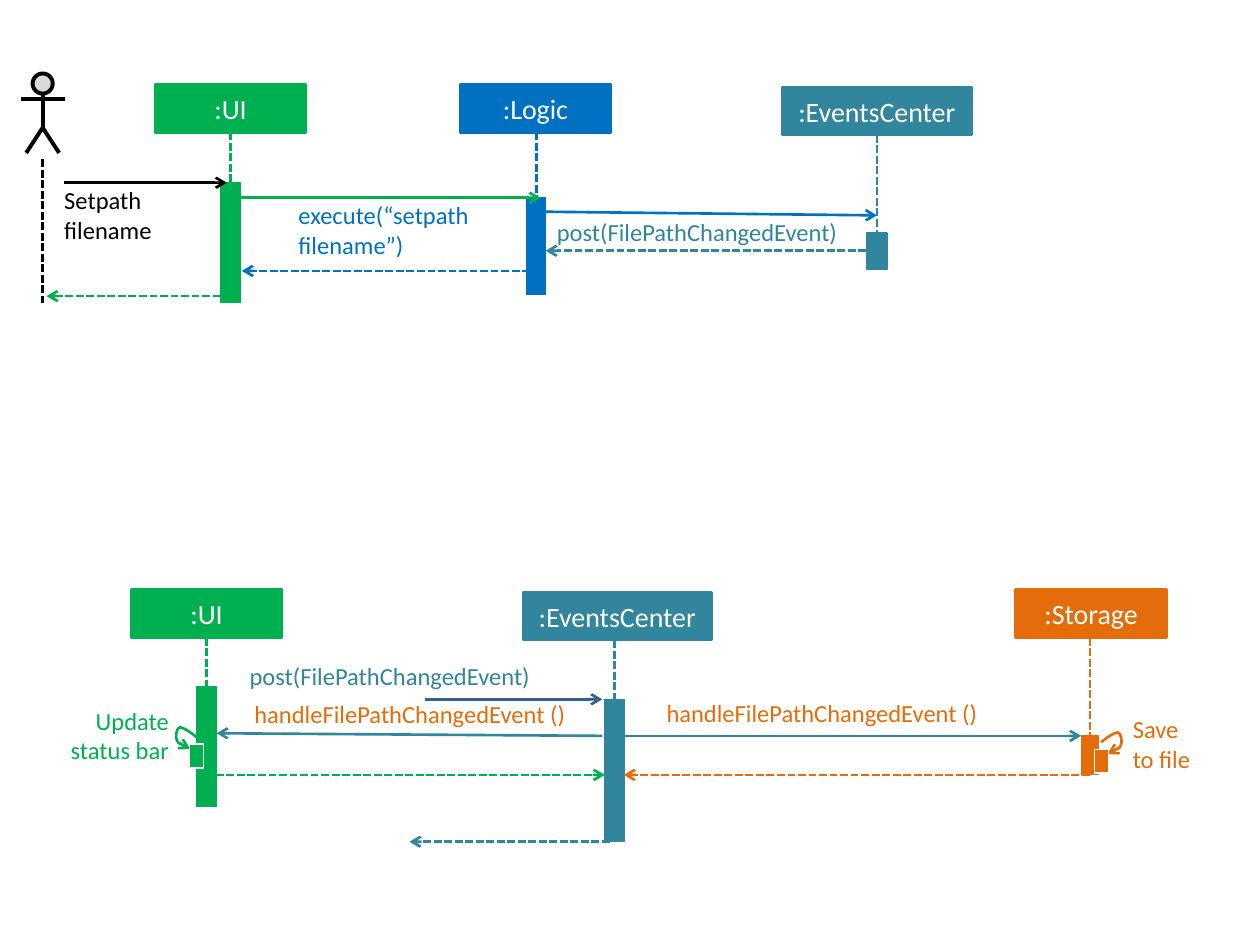
from dataclasses import dataclass

from lxml.etree import SubElement
from pptx import Presentation
from pptx.dml.color import RGBColor
from pptx.enum.dml import MSO_LINE
from pptx.enum.shapes import MSO_CONNECTOR, MSO_SHAPE as Preset
from pptx.enum.text import MSO_ANCHOR, PP_ALIGN as Align
from pptx.oxml.ns import qn
from pptx.util import Pt


@dataclass(frozen=True)
class Theme:
    font: str = "Calibri"
    head_size: float = 16
    label_size: float = 14
    thin: float = 0.75
    line: float = 1.5
    thick: float = 2.25
    black: str = "000000"
    white: str = "FFFFFF"
    grey: str = "D9D9D9"
    green: str = "00B050"
    blue: str = "0070C0"
    navy: str = "376092"
    teal: str = "31859C"
    orange: str = "E46C0A"


@dataclass(frozen=True)
class Box:
    left: float
    top: float

    def point(self, x, y):
        return Pt(self.left + x), Pt(self.top + y)


THEME = Theme()
HEAD_HEIGHT = 27.4
LOOP = [(0, 0), (3.6, -2.9), (7.6, -5.6), (9.4, -5.6), (11.6, -5.4),
        (12.2, 0.4), (11.2, 1.8), (10, 4), (6.5, 5.6), (3.6, 6.8)]


def style_line(line, color, width, dashed=False):
    line.color.rgb = RGBColor.from_string(color)
    line.width = Pt(width)
    if dashed:
        line.dash_style = MSO_LINE.SQUARE_DOT


def add_arrowhead(shape):
    outline = shape._element.spPr.find(qn("a:ln"))
    SubElement(outline, qn("a:tailEnd"), type="arrow")


def add_line(shapes, box, start, end, color, width=THEME.line, dashed=False):
    connector = shapes.add_connector(
        MSO_CONNECTOR.STRAIGHT, *box.point(*start), *box.point(*end))
    style_line(connector.line, color, width, dashed)
    SubElement(connector._element.spPr, qn("a:effectLst"))
    return connector


def add_message(shapes, box, start, end, color, dashed=False):
    connector = add_line(shapes, box, start, end, color, dashed=dashed)
    outline = connector._element.spPr.find(qn("a:ln"))
    SubElement(outline, qn("a:tailEnd"), type="arrow")


def add_filled(shapes, box, x, y, width, height, fill, border, weight,
               preset=Preset.RECTANGLE):
    shape = shapes.add_shape(preset, *box.point(x, y), Pt(width), Pt(height))
    shape.shadow.inherit = False
    shape.fill.solid()
    shape.fill.fore_color.rgb = RGBColor.from_string(fill)
    style_line(shape.line, border, weight)
    return shape


def add_outline(shapes, box, points, color, width):
    start, *rest = [box.point(*point) for point in points]
    builder = shapes.build_freeform(*start)
    builder.add_line_segments(rest, close=False)
    shape = builder.convert_to_shape()
    shape.shadow.inherit = False
    shape.fill.background()
    style_line(shape.line, color, width)
    return shape


def add_curve(shapes, box, points, color):
    shape = add_outline(shapes, box, points, color, THEME.line)
    path = next(shape._element.iter(qn("a:path")))
    segments = path.findall(qn("a:lnTo"))
    for first in range(0, len(segments), 3):
        curve = SubElement(path, qn("a:cubicBezTo"))
        for segment in segments[first:first + 3]:
            curve.append(segment[0])
            path.remove(segment)
    add_arrowhead(shape)


def write(paragraph, text, color, size, align):
    paragraph.alignment = align
    for index, part in enumerate(text.split("\n")):
        if index:
            paragraph.add_line_break()
        run = paragraph.add_run()
        run.text = part
        run.font.name = THEME.font
        run.font.size = Pt(size)
        run.font.color.rgb = RGBColor.from_string(color)


def add_label(shapes, box, text, x, y, width, color, lines=1, align=Align.LEFT):
    label = shapes.add_textbox(*box.point(x, y), Pt(width), Pt(17 * lines))
    frame = label.text_frame
    frame.word_wrap = True
    frame.margin_left = frame.margin_right = 0
    frame.margin_top = frame.margin_bottom = 0
    write(frame.paragraphs[0], text, color, THEME.label_size, align)


def add_participant(shapes, box, name, color, center, top, width,
                    stem, bar_top, bar_width, bar_height):
    head = add_filled(shapes, box, center - width / 2, top, width, HEAD_HEIGHT,
                      color, color, THEME.line)
    frame = head.text_frame
    frame.vertical_anchor = MSO_ANCHOR.MIDDLE
    write(frame.paragraphs[0], name, THEME.white, THEME.head_size, Align.CENTER)
    add_line(shapes, box, (stem, top + HEAD_HEIGHT), (stem, bar_top), color,
             dashed=True)
    add_filled(shapes, box, stem - bar_width / 2, bar_top, bar_width, bar_height,
               color, color, THEME.thin)


def add_actor(shapes, box):
    figure = shapes.add_group_shape().shapes
    center = 12.4
    add_filled(figure, box, center - 5.75, 0, 11.5, 11.5, THEME.grey,
               THEME.black, THEME.thick, Preset.FLOWCHART_CONNECTOR)
    add_line(figure, box, (center, 11.5), (center, 31.5), THEME.black, THEME.thick)
    add_outline(figure, box, [(center - 9.4, 45.4), (center, 31), (center + 9.4, 45.4)],
                THEME.black, THEME.thick)
    add_line(figure, box, (0, 14.4), (25.2, 14.4), THEME.black, THEME.thick)
    add_line(shapes, box, (center, 49), (center, 131), THEME.black, dashed=True)


def add_self_call(shapes, box, x, y, direction, color):
    group = shapes.add_group_shape().shapes
    points = [(x + direction * across, y + down) for across, down in LOOP]
    add_curve(group, box, points, color)
    add_filled(group, box, x - 3.95, y + 4, 7.9, 13.7, color, THEME.white, THEME.thin)


def add_set_path_sequence(shapes, box):
    add_actor(shapes, box)
    for participant in [
        (":UI", THEME.green, 119.8, 6.2, 86.4, 119.8, 62.4, 11.5, 68.4),
        (":Logic", THEME.blue, 294, 6.2, 86.4, 294.4, 71, 11, 55.4),
        (":EventsCenter", THEME.teal, 489.1, 7.7, 108, 489.1, 91.2, 11.5, 20.9),
    ]:
        add_participant(shapes, box, *participant)
    for message in [
        ((24.7, 62.4), (117.6, 62.4), THEME.black),
        ((124.8, 71), (296.9, 71), THEME.green),
        ((299, 79), (489.1, 81.1), THEME.blue),
        ((296.9, 112.8), (126.2, 112.8), THEME.blue, True),
        ((114, 127.2), (14.6, 127.2), THEME.green, True),
        ((489.1, 101.3), (299.8, 101.3), THEME.teal, True),
    ]:
        add_message(shapes, box, *message)
    for label in [
        ("Setpath filename", 24.7, 63.8, 71.3, THEME.black, 2),
        ("execute(“setpath filename”)", 158.6, 72.5, 118.1, THEME.blue, 2),
        ("post(FilePathChangedEvent)", 306.2, 81.8, 162.7, THEME.teal),
    ]:
        add_label(shapes, box, *label)


def add_event_sequence(shapes, box):
    for participant in [
        (":UI", THEME.green, 84.1, 0, 86.4, 84.1, 55.4, 11.5, 68.4),
        (":EventsCenter", THEME.teal, 318.8, 1.4, 108, 317.2, 62.6, 11.5, 81.4),
        (":Storage", THEME.orange, 589.5, 0, 86.4, 588.9, 83.5, 10, 22.3),
    ]:
        add_participant(shapes, box, *participant)
    for message in [
        ((208.6, 62.6), (310.2, 62.6), THEME.navy),
        ((310.2, 83.5), (89.8, 82), THEME.teal),
        ((322.4, 83.5), (583.8, 83.5), THEME.teal),
        ((83.4, 105.8), (311.6, 105.8), THEME.green, True),
        ((588.8, 105.8), (322.4, 105.8), THEME.orange, True),
        ((314.5, 144), (200, 144), THEME.teal, True),
    ]:
        add_message(shapes, box, *message)
    add_self_call(shapes, box, 78.3, 84.2, -1, THEME.green)
    add_self_call(shapes, box, 595.3, 87.1, 1, THEME.orange)
    for label in [
        ("post(FilePathChangedEvent)", 108.6, 41, 213.8, THEME.teal),
        ("handleFilePathChangedEvent ()", 111.4, 62.6, 225.4, THEME.orange),
        ("handleFilePathChangedEvent ()", 346.9, 61.9, 225.4, THEME.orange),
        ("Update status bar", 0, 66.2, 62.6, THEME.green, 2, Align.RIGHT),
        ("Save \nto file", 613.3, 71.2, 42.5, THEME.orange, 2),
    ]:
        add_label(shapes, box, *label)


def main():
    presentation = Presentation()
    presentation.slide_width, presentation.slide_height = Pt(720), Pt(540)
    slide = presentation.slides.add_slide(presentation.slide_layouts[6])
    add_set_path_sequence(slide.shapes, Box(12, 42))
    add_event_sequence(slide.shapes, Box(34, 337))
    presentation.save("out.pptx")


if __name__ == "__main__":
    main()
